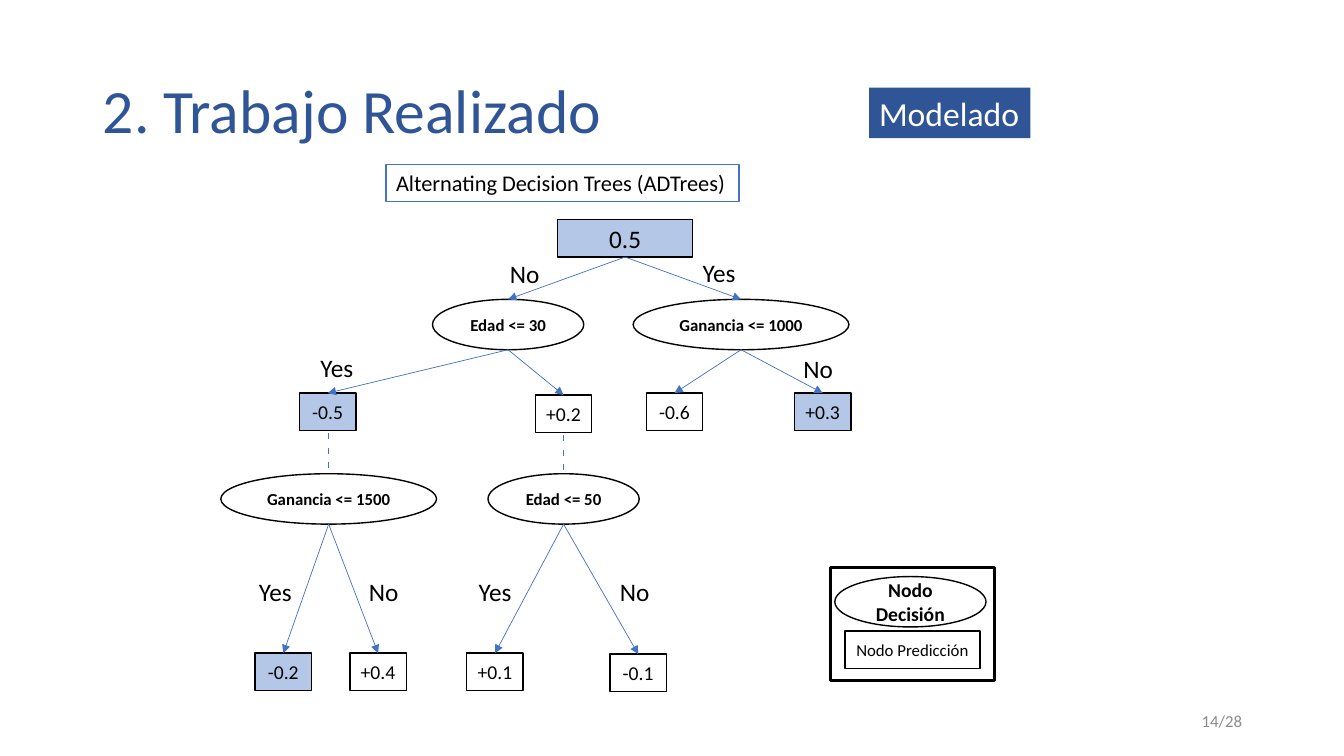
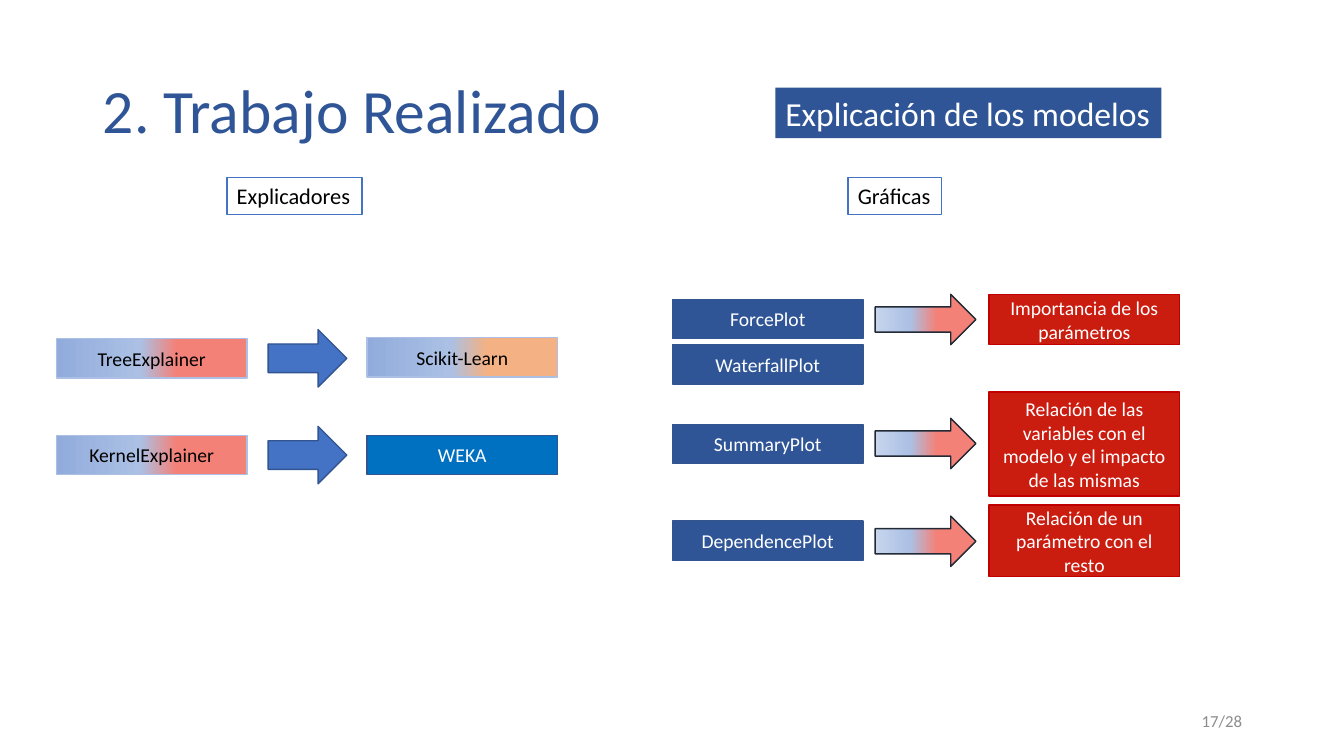
from lxml import etree
from pptx import Presentation
from pptx.dml.color import RGBColor
from pptx.enum.shapes import MSO_CONNECTOR as Connector, MSO_SHAPE as Shape
from pptx.enum.text import MSO_ANCHOR as Anchor, MSO_AUTO_SIZE as AutoSize, PP_ALIGN as Align
from pptx.oxml import parse_xml
from pptx.oxml.ns import nsdecls, qn
from pptx.util import Inches, Pt

FONT = "Calibri"
BLACK = RGBColor(0x00, 0x00, 0x00)
WHITE = RGBColor(0xFF, 0xFF, 0xFF)
GREY = RGBColor(0x8C, 0x8C, 0x8C)
NAVY = RGBColor(0x2F, 0x55, 0x97)
NAVY_EDGE = RGBColor(0x32, 0x54, 0x91)
BLUE = RGBColor(0x44, 0x72, 0xC4)
BRIGHT_BLUE = RGBColor(0x00, 0x70, 0xC0)
PALE_BLUE = RGBColor(0xB4, 0xC7, 0xE7)
MIST = RGBColor(0xC7, 0xD5, 0xED)
SKY = RGBColor(0x91, 0xAC, 0xDC)
SOFT_BLUE = RGBColor(0xAB, 0xC0, 0xE4)
CORAL = RGBColor(0xF4, 0x81, 0x78)
ORANGE = RGBColor(0xF4, 0xB1, 0x83)
RED = RGBColor(0xCA, 0x1D, 0x10)
RED_EDGE = RGBColor(0xC0, 0x00, 0x00)
SLATE = RGBColor(0x22, 0x2A, 0x35)

# Gradients run left to right: (percent, colour)
BLUE_CORAL = [(0, SKY), (44, SOFT_BLUE), (63, CORAL), (100, CORAL)]
BLUE_ORANGE = [(0, SKY), (44, SOFT_BLUE), (63, ORANGE), (100, ORANGE)]
ARROW_FADE = [(0, MIST), (35, SOFT_BLUE), (61, CORAL), (100, CORAL)]

TITLE = "2. Trabajo Realizado"

# Tree: name -> (text, centre x, top, on the active route)
PREDICTIONS = {
    "yes30": ("-0.5", 3.25, 3.9, True),
    "no30": ("+0.2", 5.59, 3.92, False),
    "yes1000": ("-0.6", 6.69, 3.9, False),
    "no1000": ("+0.3", 8.16, 3.9, True),
    "yes1500": ("-0.2", 2.81, 6.48, True),
    "no1500": ("+0.4", 3.75, 6.48, False),
    "yes50": ("+0.1", 4.91, 6.48, False),
    "no50": ("-0.1", 6.33, 6.49, False),
}
# name -> (text, centre x, top, width)
DECISIONS = {
    "age30": ("Edad <= 30", 5.04, 2.97, 1.5),
    "gain1000": ("Ganancia <= 1000", 7.35, 2.97, 2.14),
    "gain1500": ("Ganancia <= 1500", 3.26, 4.7, 2.14),
    "age50": ("Edad <= 50", 5.59, 4.7, 1.5),
}
BRANCHES = {
    "root": ("age30", "gain1000"),
    "age30": ("yes30", "no30"),
    "gain1000": ("yes1000", "no1000"),
    "gain1500": ("yes1500", "no1500"),
    "age50": ("yes50", "no50"),
}
BRANCH_LABELS = [
    ("No", 4.96, 2.51), ("Yes", 6.87, 2.5), ("Yes", 3.08, 3.45), ("No", 7.87, 3.46),
    ("Yes", 2.47, 5.67), ("No", 3.56, 5.67), ("Yes", 4.65, 5.67), ("No", 6.05, 5.67),
]
DASHED_LINKS = [(3.26, 4.3), (5.59, 4.32)]

# Explainers: (name, top, target, target top, target fill, edge, text colour)
EXPLAINERS = [
    ("TreeExplainer", 3.36, "Scikit-Learn", 3.35, BLUE_ORANGE, SOFT_BLUE, BLACK),
    ("KernelExplainer", 4.32, "WEKA", 4.32, BRIGHT_BLUE, NAVY_EDGE, WHITE),
]
# Plots: (name, top)
PLOTS = [("ForcePlot", 2.97), ("WaterfallPlot", 3.42), ("SummaryPlot", 4.21),
         ("DependencePlot", 5.17)]
# Uses: (text, top, height, arrow top)
USES = [
    ("Importancia de los parámetros", 2.92, 0.5, 2.92),
    ("Relación de las variables con el modelo y el impacto de las mismas", 3.89, 1.03, 4.15),
    ("Relación de un parámetro con el resto", 5.01, 0.71, 5.12),
]
LABEL_WIDTH, LABEL_HEIGHT = 1.89, 0.39


def write(frame, text, size=14, color=BLACK, bold=False, align=Align.CENTER,
          anchor=Anchor.MIDDLE, wrap=False, spacing=None):
    frame.auto_size = AutoSize.NONE
    frame.word_wrap = wrap
    frame.vertical_anchor = anchor
    para = frame.paragraphs[0]
    para.alignment = align
    if spacing:
        para.line_spacing = spacing
    span = para.add_run()
    span.text = text
    span.font.name, span.font.size, span.font.bold = FONT, Pt(size), bold
    span.font.color.rgb = color


def add_text(page, text, left, top, width, height, **style):
    box = page.shapes.add_textbox(Inches(left), Inches(top), Inches(width), Inches(height))
    write(box.text_frame, text, **style)


def fill_gradient(box, stops):
    box.fill.gradient()
    box.fill.gradient_angle = 0
    stop_list = box._element.spPr.find(qn("a:gradFill")).find(qn("a:gsLst"))
    for stop in list(stop_list):
        stop_list.remove(stop)
    for percent, color in stops:
        stop_list.append(parse_xml(
            f'<a:gs {nsdecls("a")} pos="{percent * 1000}"><a:srgbClr val="{color}"/></a:gs>'))


def add_box(page, left, top, width, height, text="", shape=Shape.RECTANGLE, fill=WHITE,
            edge=BLACK, edge_width=1, **style):
    box = page.shapes.add_shape(shape, Inches(left), Inches(top), Inches(width), Inches(height))
    box.shadow.inherit = False
    if isinstance(fill, list):
        fill_gradient(box, fill)
    else:
        box.fill.solid()
        box.fill.fore_color.rgb = fill
    if edge is None:
        box.line.fill.background()
    else:
        box.line.color.rgb = edge
        box.line.width = Pt(edge_width)
    if text:
        write(box.text_frame, text, **style)


def add_line(page, start, end, width, arrow=False):
    link = page.shapes.add_connector(Connector.STRAIGHT, *map(Inches, (*start, *end)))
    link.line.color.rgb = BLUE
    link.line.width = Pt(width)
    if arrow:
        etree.SubElement(link.line._get_or_add_ln(), qn("a:tailEnd"), type="triangle")
    etree.SubElement(link._element.spPr, qn("a:effectLst"))


def add_heading(page, text, left, top, width):
    add_box(page, left, top, width, 0.37, text, edge=BLUE, size=16,
            align=Align.LEFT, anchor=Anchor.TOP)


def start_page(deck, number, tag, tag_left, tag_width):
    page = deck.slides.add_slide(deck.slide_layouts[5])
    title = page.shapes.title
    title.left, title.top, title.width, title.height = map(Inches, (0.92, 0.4, 5.15, 1.45))
    write(title.text_frame, TITLE, size=44, color=NAVY, align=Align.LEFT, wrap=True, spacing=0.9)
    add_box(page, tag_left, 0.87, tag_width, 0.5, tag, fill=NAVY, edge=None, size=24,
            color=WHITE, align=Align.LEFT, anchor=Anchor.TOP)
    add_text(page, number, 9.42, 6.95, 3, 0.4, size=12, color=GREY, align=Align.RIGHT)
    return page


def build_tree_page(deck):
    page = start_page(deck, "14/28", "Modelado", 8.62, 1.6)
    add_heading(page, "Alternating Decision Trees (ADTrees)", 3.83, 1.63, 3.5)

    # Nodes, keeping the top and bottom points that the arrows join
    add_box(page, 5.53, 2.18, 1.34, 0.37, "0.5", fill=PALE_BLUE, size=18)
    tops, bottoms = {}, {"root": (6.2, 2.55)}
    for name, (text, center, top, width) in DECISIONS.items():
        add_box(page, center - width / 2, top, width, 0.5, text, shape=Shape.OVAL,
                size=12, bold=True)
        tops[name], bottoms[name] = (center, top), (center, top + 0.5)
    for name, (text, center, top, active) in PREDICTIONS.items():
        add_box(page, center - 0.28, top, 0.56, 0.37, text, fill=PALE_BLUE if active else WHITE)
        tops[name] = (center, top)

    # Branches and their labels
    for parent, children in BRANCHES.items():
        for child in children:
            add_line(page, bottoms[parent], tops[child], 0.5, arrow=True)
    for text, left, top in BRANCH_LABELS:
        add_text(page, text, left, top, 0.56, 0.4, size=18, align=Align.LEFT, anchor=Anchor.TOP)
    for x, top in DASHED_LINKS:
        for dash in range(3):
            y = top + 0.14 * dash
            add_line(page, (x, y), (x, y + 0.06), 1)

    # Legend
    add_box(page, 8.24, 5.63, 1.62, 1.12, edge_width=2.25)
    add_box(page, 8.38, 6.26, 1.34, 0.37, "Nodo Predicción", size=12)
    add_box(page, 8.28, 5.72, 1.5, 0.5, "Nodo Decisión", shape=Shape.OVAL, bold=True, wrap=True)


def build_explainer_page(deck):
    page = start_page(deck, "17/28", "Explicación de los modelos", 7.69, 3.83)
    add_heading(page, "Explicadores", 2.25, 1.76, 1.34)
    add_heading(page, "Gráficas", 8.41, 1.76, 0.93)

    # Explainers and the libraries they serve
    for name, top, target, target_top, fill, edge, color in EXPLAINERS:
        add_box(page, 0.56, top, LABEL_WIDTH, LABEL_HEIGHT, name, fill=BLUE_CORAL, edge=SOFT_BLUE)
        add_box(page, 2.66, top - 0.09, 0.78, 0.57, shape=Shape.RIGHT_ARROW, fill=BLUE,
                edge=NAVY_EDGE)
        add_box(page, 3.64, target_top, LABEL_WIDTH, LABEL_HEIGHT, target, fill=fill,
                edge=edge, color=color)

    # Plots and what each one shows
    for name, top in PLOTS:
        add_box(page, 6.67, top, LABEL_WIDTH, LABEL_HEIGHT, name, fill=NAVY, edge=NAVY_EDGE,
                color=WHITE)
    for text, top, height, arrow_top in USES:
        add_box(page, 8.68, arrow_top, 1, 0.5, shape=Shape.RIGHT_ARROW, fill=ARROW_FADE,
                edge=SLATE)
        add_box(page, 9.81, top, LABEL_WIDTH, height, text, fill=RED, edge=RED_EDGE,
                color=WHITE, wrap=True)


def main():
    deck = Presentation()
    deck.slide_width, deck.slide_height = Inches(13.33), Inches(7.5)
    build_tree_page(deck)
    build_explainer_page(deck)
    deck.save("out.pptx")


if __name__ == "__main__":
    main()
